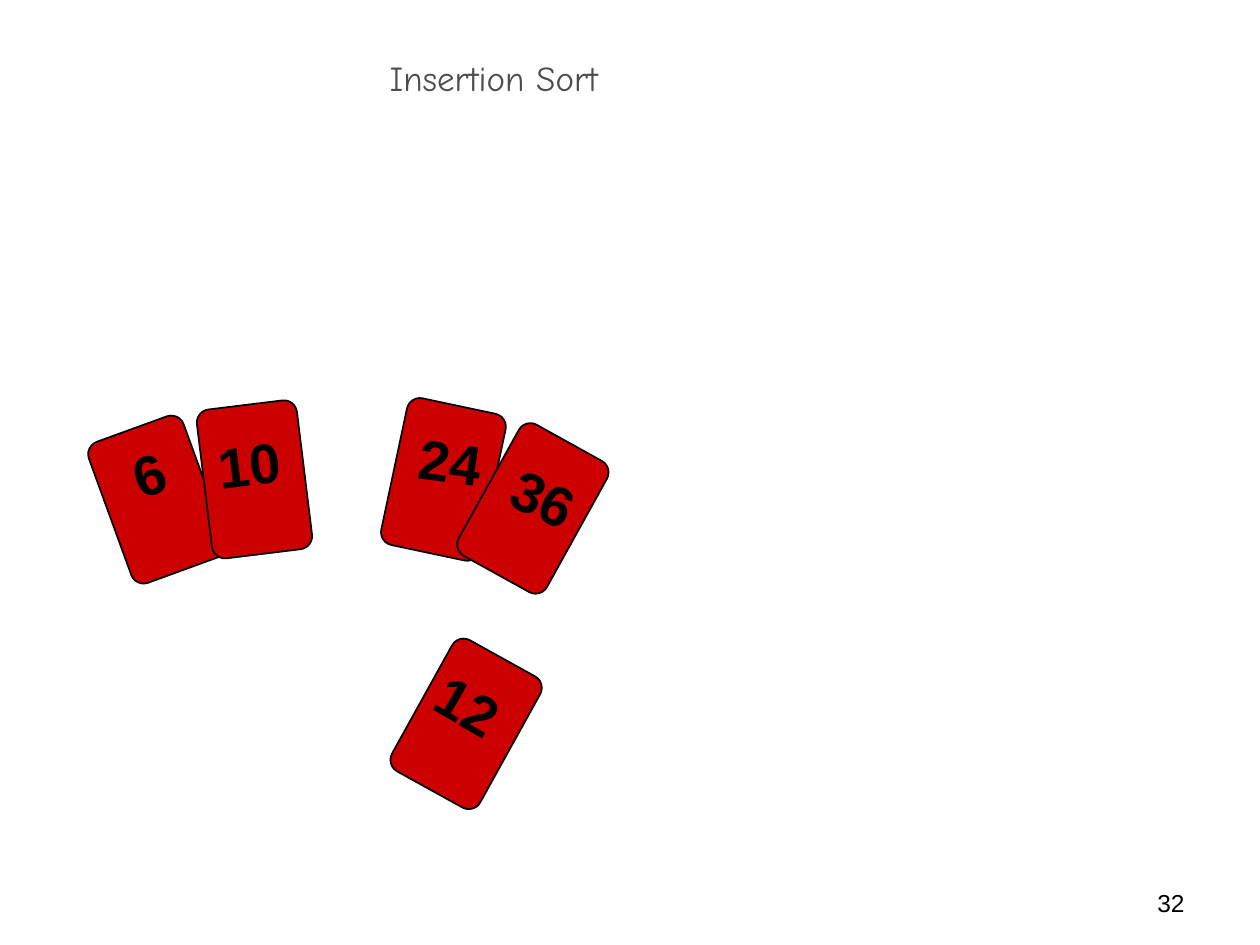
from typing import NamedTuple

from pptx import Presentation
from pptx.dml.color import RGBColor
from pptx.enum.shapes import MSO_SHAPE
from pptx.enum.text import MSO_ANCHOR, MSO_AUTO_SIZE, PP_ALIGN
from pptx.slide import Slide
from pptx.text.text import TextFrame
from pptx.util import Inches, Pt

COLORS = {"card": "CC0000", "ink": "000000", "title": "4D4D4D"}
WIDTH, HEIGHT = Inches(10), Inches(7.5)
COLS, ROWS = 100, 75
CARD_SIZE = (8, 11.9)
LABEL_HEIGHT = 6.3
LABEL_WIDTHS = {1: 4.5, 2: 7}


class Box(NamedTuple):
    col: float
    row: float
    cols: float
    rows: float

    def emu(self) -> tuple[int, ...]:
        cw, rh = WIDTH / COLS, HEIGHT / ROWS
        return tuple(round(v) for v in (self.col * cw, self.row * rh, self.cols * cw, self.rows * rh))


class Style(NamedTuple):
    font: str
    size: float
    color: str
    bold: bool = False
    align: PP_ALIGN = PP_ALIGN.LEFT
    spacing: float = 1.0


class Card(NamedTuple):
    value: str
    at: tuple[float, float]
    angle: float
    label_at: tuple[float, float]
    label_angle: float


TITLE = Style("Comic Neue", 20, "title", align=PP_ALIGN.CENTER, spacing=0.7)
NUMBER = Style("Arial", 14, "ink", align=PP_ALIGN.RIGHT)
LABEL = Style("Arial", 32, "ink", bold=True)

CARDS = [
    Card("6", (8.5, 33.7), 340, (9.6, 34.4), 341),
    Card("10", (16.2, 32.1), 353, (16.3, 33.6), 353),
    Card("24", (31.2, 32.1), 12, (32.3, 33.4), 8),
    Card("36", (38.3, 34.4), 29, (39.7, 36.3), 25),
    Card("12", (33, 51.5), 29, (33.7, 52.8), 30),
]


def rgb(name: str) -> RGBColor:
    return RGBColor.from_string(COLORS[name])


def add_text(s: Slide, box: Box, text: str, style: Style, angle: float = 0) -> TextFrame:
    sp = s.shapes.add_textbox(*box.emu())
    sp.rotation = angle
    tf = sp.text_frame
    tf.word_wrap = True
    p = tf.paragraphs[0]
    p.text = text
    p.alignment = style.align
    p.line_spacing = style.spacing
    p.font.name = style.font
    p.font.size = Pt(style.size)
    p.font.bold = style.bold
    p.font.color.rgb = rgb(style.color)
    return tf


def add_card(s: Slide, card: Card) -> None:
    sp = s.shapes.add_shape(MSO_SHAPE.ROUNDED_RECTANGLE, *Box(*card.at, *CARD_SIZE).emu())
    sp.adjustments[0] = 0.13
    sp.rotation = card.angle
    sp.shadow.inherit = False
    sp.fill.solid()
    sp.fill.fore_color.rgb = rgb("card")
    sp.line.color.rgb = rgb("ink")
    sp.line.width = Pt(1)


def add_label(s: Slide, card: Card) -> None:
    box = Box(*card.label_at, LABEL_WIDTHS[len(card.value)], LABEL_HEIGHT)
    tf = add_text(s, box, card.value, LABEL, card.label_angle)
    tf.word_wrap = False
    tf.auto_size = MSO_AUTO_SIZE.SHAPE_TO_FIT_TEXT


def main() -> None:
    prs = Presentation()
    prs.slide_width, prs.slide_height = WIDTH, HEIGHT
    s = prs.slides.add_slide(prs.slide_layouts[6])
    add_text(s, Box(71.7, 70, 23.3, 3.5), "32", NUMBER)
    tf = add_text(s, Box(3.7, 2.5, 71, 5.7), "Insertion Sort", TITLE)
    tf.vertical_anchor = MSO_ANCHOR.BOTTOM
    for card in CARDS:
        add_card(s, card)
    for card in CARDS:
        add_label(s, card)
    prs.save("out.pptx")


if __name__ == "__main__":
    main()
